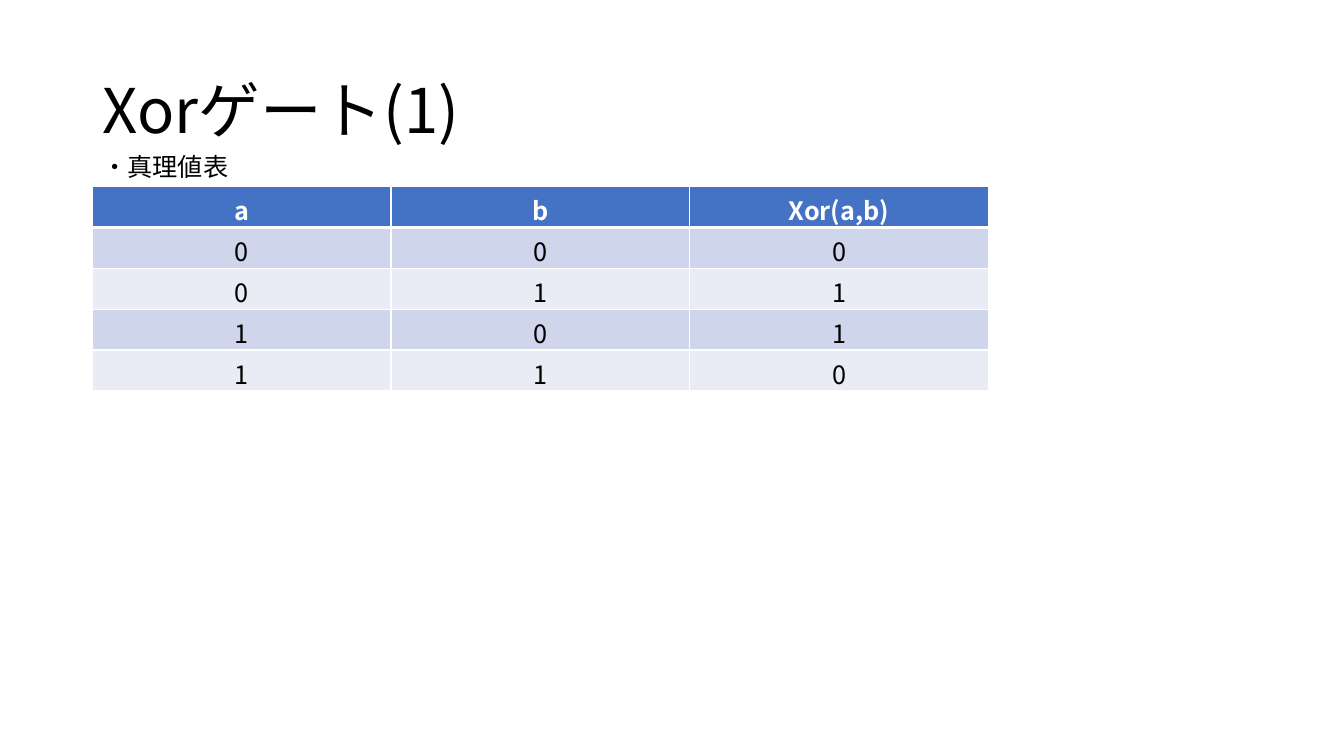
from lxml import etree
from pptx import Presentation
from pptx.dml.color import RGBColor
from pptx.enum.text import MSO_ANCHOR, MSO_AUTO_SIZE, PP_ALIGN
from pptx.oxml.ns import qn
from pptx.util import Inches, Pt

LEFT, CENTER = PP_ALIGN.LEFT, PP_ALIGN.CENTER
MIDDLE = MSO_ANCHOR.MIDDLE
NO_FIT, GROW = MSO_AUTO_SIZE.NONE, MSO_AUTO_SIZE.SHAPE_TO_FIT_TEXT
TITLE_ONLY = 5
GRID_COLUMNS, GRID_ROWS = 160, 150
FONT = "Noto Sans CJK JP"
COLORS = {
    "text": "000000",
    "white": "FFFFFF",
    "header": "4472C4",
    "odd": "CFD5EA",
    "even": "E9EBF5",
}
TRUTH_TABLE = [
    ("a", "b", "Xor(a,b)"),
    *((str(a), str(b), str(a ^ b)) for a in (0, 1) for b in (0, 1)),
]


class GateSlide:
    def __init__(self, deck):
        self.slide = deck.slides.add_slide(deck.slide_layouts[TITLE_ONLY])
        self.column = deck.slide_width / GRID_COLUMNS
        self.row = deck.slide_height / GRID_ROWS

    def area(self, left, top, width, height):
        return (round(left * self.column), round(top * self.row),
                round(width * self.column), round(height * self.row))

    def set_text(self, frame, text, size, color="text", align=LEFT, bold=False):
        frame.text = text
        paragraph = frame.paragraphs[0]
        paragraph.alignment = align
        font = paragraph.font
        font.name, font.size, font.bold = FONT, Pt(size), bold
        font.color.rgb = RGBColor.from_string(COLORS[color])
        defaults = paragraph._p.pPr.find(qn("a:defRPr"))
        etree.SubElement(defaults, qn("a:ea"), typeface=FONT)
        return paragraph

    def title(self, text, *place):
        heading = self.slide.shapes.title
        heading.left, heading.top, heading.width, heading.height = self.area(*place)
        frame = heading.text_frame
        frame.vertical_anchor, frame.auto_size = MIDDLE, NO_FIT
        self.set_text(frame, text, 44).line_spacing = 0.9

    def label(self, text, *place):
        frame = self.slide.shapes.add_textbox(*self.area(*place)).text_frame
        frame.word_wrap, frame.auto_size = True, GROW
        self.set_text(frame, text, 18)

    def borders(self, cell, top, bottom):
        properties = cell._tc.get_or_add_tcPr()
        sides = [("lnL", 1), ("lnR", 1), ("lnT", top), ("lnB", bottom)]
        for position, (side, width) in enumerate(sides):
            line = etree.Element(qn(f"a:{side}"), w=str(Pt(width)))
            fill = etree.SubElement(line, qn("a:solidFill"))
            etree.SubElement(fill, qn("a:srgbClr"), val=COLORS["white"])
            properties.insert(position, line)

    def table(self, rows, *place):
        grid = self.slide.shapes.add_table(
            len(rows), len(rows[0]), *self.area(*place)).table
        for r, values in enumerate(rows):
            is_header = r == 0
            band = "header" if is_header else "odd" if r % 2 else "even"
            for c, value in enumerate(values):
                cell = grid.cell(r, c)
                cell.fill.solid()
                cell.fill.fore_color.rgb = RGBColor.from_string(COLORS[band])
                self.set_text(cell.text_frame, value, 18,
                              "white" if is_header else "text", CENTER, is_header)
                self.borders(cell, 3 if r == 1 else 1, 3 if is_header else 1)


def main():
    deck = Presentation()
    deck.slide_width, deck.slide_height = Inches(13.33), Inches(7.5)
    gate = GateSlide(deck)
    gate.title("Xorゲート(1)", 11, 8, 138, 29)
    gate.label("・真理値表", 11, 29, 18, 8)
    gate.table(TRUTH_TABLE, 11, 37, 106.67, 40.56)
    deck.save("out.pptx")


if __name__ == "__main__":
    main()
